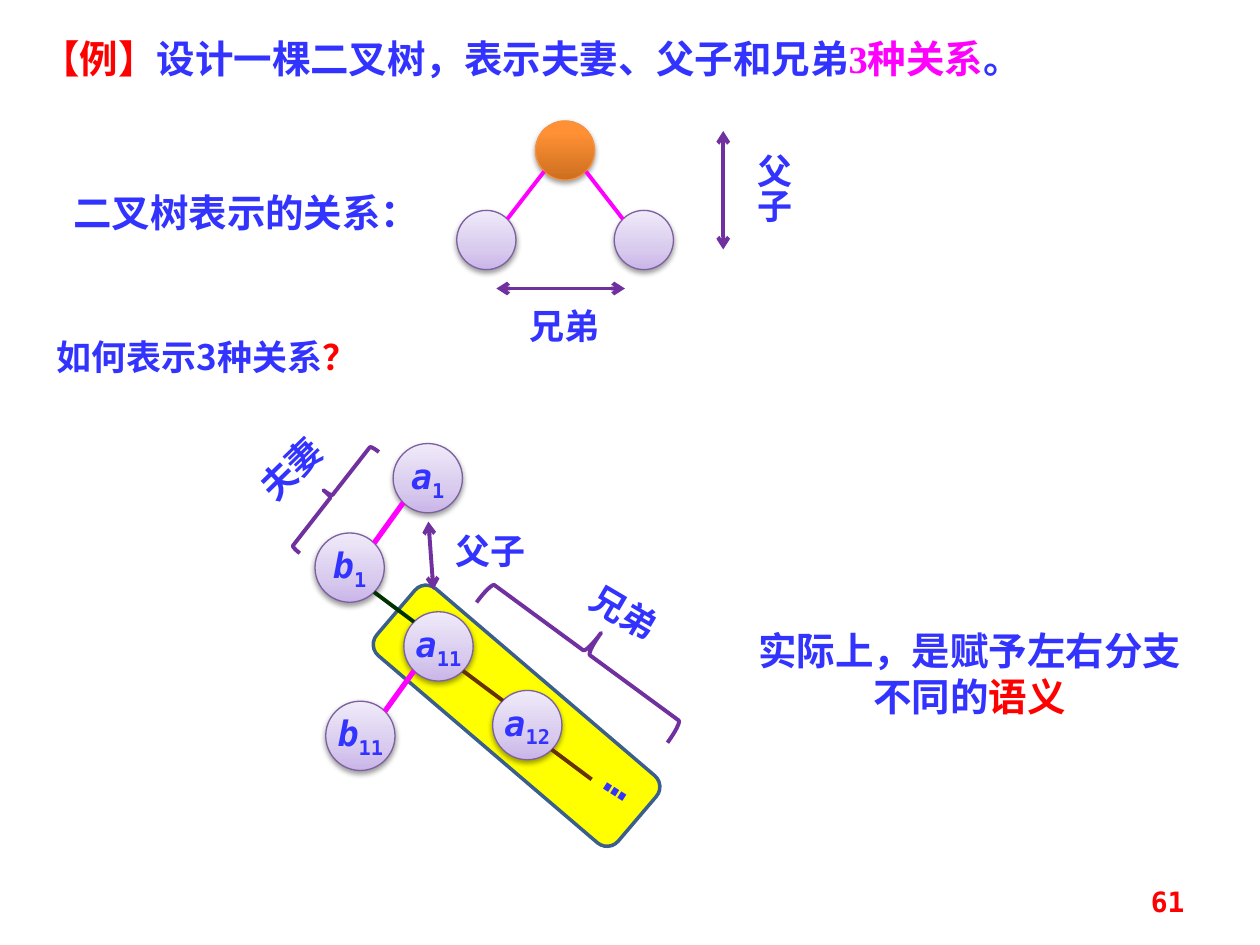
from math import sqrt

from pptx import Presentation
from pptx.dml.color import RGBColor
from pptx.enum.shapes import MSO_CONNECTOR, MSO_SHAPE
from pptx.enum.text import MSO_ANCHOR, MSO_AUTO_SIZE, PP_ALIGN
from pptx.oxml import parse_xml
from pptx.oxml.ns import nsdecls, qn
from pptx.util import Inches, Pt

BLUE, RED, PINK, PURPLE = "3333FF", "FF0000", "FF00FF", "7030A0"
GREEN, BROWN = "003300", "663300"
MONO, SERIF, CJK = "DejaVu Sans Mono", "Times New Roman", "Noto Sans CJK SC"
LILAC = {"stops": [(0, "C9B5E8"), (35, "D8CBEE"), (100, "F0EAF9")], "outline": "7D60A0"}
ORANGE = {"stops": [(0, "CC6E20"), (80, "FF9034"), (100, "FF9136")], "outline": "F69240"}
LEFT_STEP, RIGHT_STEP = (-6.2, 7.1), (7.05, 6.25)


def color(hex_string):
    return RGBColor.from_string(hex_string)


def grid(cells):
    """Length of a number of grid cells; the slide has 100 columns and 75 rows."""
    return Inches(cells / 10)


def shift(point, step):
    return point[0] + step[0], point[1] + step[1]


def write(shape, runs, size=20, font=MONO, fill=BLUE, align=PP_ALIGN.LEFT,
          anchor=MSO_ANCHOR.TOP, wrap=True, margin=None):
    """Fill a shape with one bold paragraph; a run is (text, its own format)."""
    frame = shape.text_frame
    frame.word_wrap = wrap
    frame.auto_size = MSO_AUTO_SIZE.NONE
    frame.vertical_anchor = anchor
    if margin is not None:
        frame.margin_left = frame.margin_right = margin
        frame.margin_top = frame.margin_bottom = margin
    paragraph = frame.paragraphs[0]
    paragraph.alignment = align
    if isinstance(runs, str):
        runs = [(runs, {})]
    for text, own in runs:
        run = paragraph.add_run()
        run.text = text
        run.font.size = Pt(size)
        run.font.bold = True
        run.font.italic = own.get("italic", False)
        run.font.name = own.get("font", font)
        run.font.color.rgb = color(own.get("fill", fill))
    for properties, (text, own) in zip(shape.element.iter(qn("a:rPr")), runs):
        properties.append(parse_xml(f'<a:ea {nsdecls("a")} typeface="{CJK}"/>'))
        if "baseline" in own:
            properties.set("baseline", str(own["baseline"] * 1000))


class Board:
    """Holds the line style and the current slide."""

    line_width = 2.25

    def __init__(self, slide):
        self.slide = slide

    def title(self, box, runs, **style):
        shape = self.slide.shapes.title
        shape.left, shape.top, shape.width, shape.height = map(grid, box)
        write(shape, runs, **style)

    def text(self, box, runs, rotation=0, vertical=False, **style):
        shape = self.slide.shapes.add_textbox(*map(grid, box))
        shape.rotation = rotation
        write(shape, runs, **style)
        if vertical:
            shape.element.find(".//" + qn("a:bodyPr")).set("vert", "eaVert")

    def shape(self, kind, box, outline, width=line_width, fill=None, rotation=0):
        shape = self.slide.shapes.add_shape(kind, *map(grid, box))
        shape.rotation = rotation
        shape.shadow.inherit = False
        shape.line.color.rgb = color(outline)
        shape.line.width = Pt(width)
        if fill:
            shape.fill.solid()
            shape.fill.fore_color.rgb = color(fill)
        else:
            shape.fill.background()
        return shape

    def line(self, start, end, stroke=PURPLE, width=line_width, arrows=False):
        connector = self.slide.shapes.add_connector(
            MSO_CONNECTOR.STRAIGHT, *map(grid, (*start, *end)))
        connector.line.color.rgb = color(stroke)
        connector.line.width = Pt(width)
        properties = connector.element.find(qn("p:spPr"))
        if arrows:
            for tag in ("headEnd", "tailEnd"):
                properties.find(qn("a:ln")).append(
                    parse_xml(f'<a:{tag} {nsdecls("a")} type="arrow"/>'))
        properties.append(parse_xml(f'<a:effectLst {nsdecls("a")}/>'))

    def node(self, center, diameter, look=LILAC, letter="", index=""):
        corner = shift(center, (-diameter / 2, -diameter / 2))
        circle = self.shape(MSO_SHAPE.OVAL, (*corner, diameter, diameter),
                            look["outline"], 0.75)
        circle.fill.gradient()
        circle.fill.gradient_angle = 90
        properties = circle.element.find(qn("p:spPr"))
        stops = properties.find(".//" + qn("a:gsLst"))
        for stop in list(stops):
            stops.remove(stop)
        for position, shade in look["stops"]:
            stops.append(parse_xml(
                f'<a:gs {nsdecls("a")} pos="{position * 1000}">'
                f'<a:srgbClr val="{shade}"/></a:gs>'))
        properties.find(qn("a:effectLst")).append(parse_xml(
            f'<a:outerShdw {nsdecls("a")} blurRad="{Pt(3.1)}" dist="{Pt(1.6)}" '
            'dir="5400000" rotWithShape="0"><a:srgbClr val="000000">'
            '<a:alpha val="38000"/></a:srgbClr></a:outerShdw>'))
        if letter:
            write(circle, [(letter, {"italic": True}), (index, {"baseline": -25})],
                  align=PP_ALIGN.CENTER, anchor=MSO_ANCHOR.MIDDLE, wrap=False)

    def branch(self, parent, child, diameter, stroke=PINK, width=line_width):
        """Join the rims of two nodes at their 45 degree points."""
        reach = diameter / 2 / sqrt(2)
        side = reach if child[0] > parent[0] else -reach
        self.line(shift(parent, (side, reach)), shift(child, (-side, -reach)),
                  stroke, width)


def draw_relation_key(board):
    root, diameter = (44.85, 11.95), 4.7
    board.node(root, diameter, ORANGE)
    for direction in (-1, 1):
        child = shift(root, (direction * 6.25, 7.1))
        board.node(child, diameter)
        board.branch(root, child, diameter)
    board.line((57.4, 10.4), (57.4, 19.8), arrows=True)
    board.text((58.2, 11.2, 5.4, 7.8), "父子", font=SERIF, vertical=True)
    board.line((39.4, 22.9), (49.6, 22.9), arrows=True)
    board.text((41, 23.7, 10.2, 4.4), "兄弟", font=SERIF)


def draw_family_tree(board):
    center = PP_ALIGN.CENTER
    diameter = 5.5
    a1 = (33.95, 37.95)
    b1 = shift(a1, LEFT_STEP)
    a11 = shift(b1, RIGHT_STEP)
    b11 = shift(a11, LEFT_STEP)
    a12 = shift(a11, RIGHT_STEP)
    board.shape(MSO_SHAPE.ROUNDED_RECTANGLE, (37.5, 44.2, 7, 25.2), "3A5F8C", 2,
                fill="FFFF00", rotation=310.5)
    board.line((34, 41.4), (34.4, 46.8), arrows=True)
    board.text((35.2, 41.5, 7.8, 4.4), "父子")
    for place, letter, index in ((a1, "a", "1"), (b1, "b", "1"), (a11, "a", "11"),
                                 (a12, "a", "12"), (b11, "b", "11")):
        board.node(place, diameter, LILAC, letter, index)
    for parent, child, stroke, width in (
            (a1, b1, PINK, 3), (b1, a11, GREEN, 2.25), (a11, b11, PINK, 3),
            (a11, a12, BROWN, 2.25), (a12, shift(a12, RIGHT_STEP), BROWN, 2.25)):
        board.branch(parent, child, diameter, stroke, width)
    board.text((47, 60, 4.7, 4), "…", rotation=32.4, size=24, align=center, margin=0)
    board.text((19.2, 35, 7.8, 4.4), "夫妻", rotation=315.8, align=center)
    board.shape(MSO_SHAPE.LEFT_BRACE, (25.5, 34.3, 1.6, 10.2), PURPLE, rotation=38)
    board.shape(MSO_SHAPE.LEFT_BRACE, (44.6, 42.4, 3.9, 18.8), PURPLE, rotation=126.3)
    board.text((44.1, 46.4, 10.9, 4.4), "兄弟", rotation=30.4, align=center)


def main():
    presentation = Presentation()
    presentation.slide_width, presentation.slide_height = grid(100), grid(75)
    board = Board(presentation.slides.add_slide(presentation.slide_layouts[5]))
    board.title((2.3, 2.3, 94.5, 4.7),
                [("【例】", {"font": CJK, "fill": RED}),
                 ("设计一棵二叉树，表示夫妻、父子和兄弟", {}),
                 ("3种关系", {"fill": PINK}), ("。", {})], size=22, font=SERIF)
    board.text((4.7, 14.5, 29.7, 4.7), "二叉树表示的关系：", size=22, font=SERIF,
               align=PP_ALIGN.CENTER)
    draw_relation_key(board)
    board.text((3.5, 26.1, 32, 4.4),
               [("如何表示3种关系", {}), ("？", {"fill": RED})], font=CJK)
    draw_family_tree(board)
    board.text((58.6, 49.3, 36.7, 8.4),
               [("实际上，是赋予左右分支不同的", {}), ("语义", {"fill": RED})],
               size=22, font=SERIF, align=PP_ALIGN.CENTER)
    board.text((71.7, 69.5, 23.3, 4), "61", size=16, fill=RED,
               align=PP_ALIGN.RIGHT, anchor=MSO_ANCHOR.MIDDLE)
    presentation.save("out.pptx")


if __name__ == "__main__":
    main()
